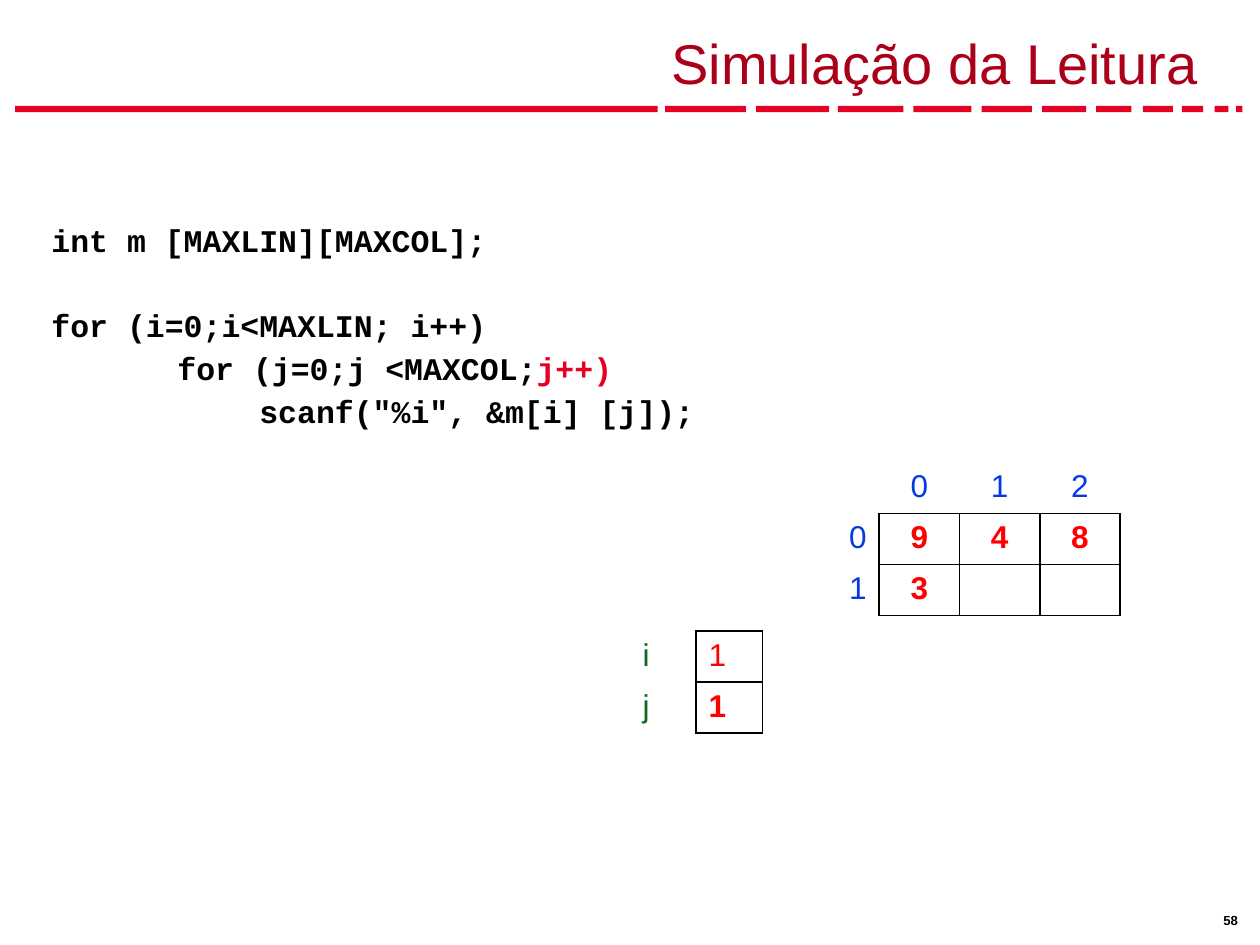
from lxml import etree
from pptx import Presentation
from pptx.dml.color import RGBColor
from pptx.enum import shapes, text
from pptx.oxml.ns import qn
from pptx.util import Inches, Pt

RED = RGBColor(0xE4, 0x01, 0x23)
DARK_RED = RGBColor(0xAA, 0x00, 0x1A)
VALUE_RED = RGBColor(0xFF, 0x00, 0x00)
BLUE = RGBColor(0x03, 0x39, 0xE7)
GREEN = RGBColor(0x0C, 0x68, 0x22)
BLACK = RGBColor(0x00, 0x00, 0x00)
WHITE = RGBColor(0xFF, 0xFF, 0xFF)
LEFT, CENTER, RIGHT = text.PP_ALIGN.LEFT, text.PP_ALIGN.CENTER, text.PP_ALIGN.RIGHT


def set_font(font, name, size, color, bold=False):
    font.name, font.size, font.bold = name, Pt(size), bold
    font.color.rgb = color


def set_borders(cell, black_sides):
    properties = cell._tc.get_or_add_tcPr()
    for position, side in enumerate("LRTB"):
        line = etree.Element(qn(f"a:ln{side}"), w=str(Pt(1)))
        fill = etree.SubElement(line, qn("a:solidFill"))
        color = BLACK if side in black_sides else WHITE
        etree.SubElement(fill, qn("a:srgbClr"), val=str(color))
        properties.insert(position, line)


presentation = Presentation()
presentation.slide_width, presentation.slide_height = Inches(10), Inches(7.5)
slide = presentation.slides.add_slide(presentation.slide_layouts[5])

bars = [(0.12, 5.1), (5.28, 0.64), (6, 0.58), (6.65, 0.52), (7.25, 0.46), (7.79, 0.4),
        (8.27, 0.35), (8.7, 0.28), (9.07, 0.24), (9.38, 0.17), (9.64, 0.11), (9.81, 0.05)]
for left, width in bars:
    bar = slide.shapes.add_shape(shapes.MSO_SHAPE.RECTANGLE, Inches(left), Inches(0.84),
                                 Inches(width), Inches(0.05))
    bar.shadow.inherit = False
    bar.fill.solid()
    bar.fill.fore_color.rgb = RED
    bar.line.fill.background()

title = slide.shapes.title
title.left, title.top, title.width, title.height = map(Inches, (0.31, 0.08, 9.42, 0.73))
frame = title.text_frame
frame.text = "Simulação da Leitura"
frame.vertical_anchor = text.MSO_ANCHOR.BOTTOM
frame.auto_size = text.MSO_AUTO_SIZE.NONE
frame.margin_right = Inches(0.22)
frame.paragraphs[0].alignment = RIGHT
set_font(frame.paragraphs[0].font, "Arial", 32, DARK_RED)

code_box = slide.shapes.add_textbox(Inches(0.31), Inches(1.01), Inches(6.28), Inches(2.71))
frame = code_box.text_frame
frame.word_wrap = True
frame.margin_top = Inches(0.7)
code_lines = [
    ["int m [MAXLIN][MAXCOL];"],
    ["for (i=0;i<MAXLIN; i++)"],
    ["      \tfor (j=0;j <MAXCOL;", "j++)"],
    ["         \t scanf(\"%i\", &m[i] [j]);"],
]
for index, parts in enumerate(code_lines):
    paragraph = frame.paragraphs[0] if index == 0 else frame.add_paragraph()
    paragraph.line_spacing = 1.15
    paragraph.space_before = Pt(23.4 if index == 1 else 0)
    set_font(paragraph.font, "Courier New", 18, BLACK, True)
    for part in parts:
        run = paragraph.add_run()
        run.text = part
        if part == "j++)":
            run.font.color.rgb = RED

matrix = [["", "0", "1", "2"], ["0", "9", "4", "8"], ["1", "3", "", ""]]
counters = [["i", "1"], ["j", "1"]]
tables = [
    (matrix, 6.34, 3.67, 2.55, 1, BLUE, RIGHT, CENTER),
    (counters, 5, 5.01, 1.05, 0, GREEN, LEFT, LEFT),
]
for rows, left, top, width, header_rows, label_color, label_align, value_align in tables:
    table = slide.shapes.add_table(len(rows), len(rows[0]), Inches(left), Inches(top),
                                   Inches(width), Inches(0.405 * len(rows))).table
    table.first_row = table.horz_banding = False
    for row, values in enumerate(rows):
        for column, value in enumerate(values):
            cell = table.cell(row, column)
            cell.fill.solid()
            cell.fill.fore_color.rgb = WHITE
            is_label = row < header_rows or column == 0
            if not is_label:
                black_sides = "LRTB"
            elif row >= header_rows:
                black_sides = "R"
            else:
                black_sides = "B" if column else ""
            set_borders(cell, black_sides)
            cell.text = value
            paragraph = cell.text_frame.paragraphs[0]
            paragraph.alignment = label_align if column == 0 else value_align
            bold = not is_label and (rows is matrix or row == 1)
            set_font(paragraph.font, "Arial", 18, label_color if is_label else VALUE_RED, bold)

number_box = slide.shapes.add_textbox(Inches(9.63), Inches(7.2), Inches(0.33), Inches(0.2))
frame = number_box.text_frame
frame.margin_left = frame.margin_right = Inches(0.08)
frame.margin_top = frame.margin_bottom = Inches(0.04)
frame.text = "58"
set_font(frame.paragraphs[0].font, "Arial", 7.5, BLACK, True)

presentation.save("out.pptx")
